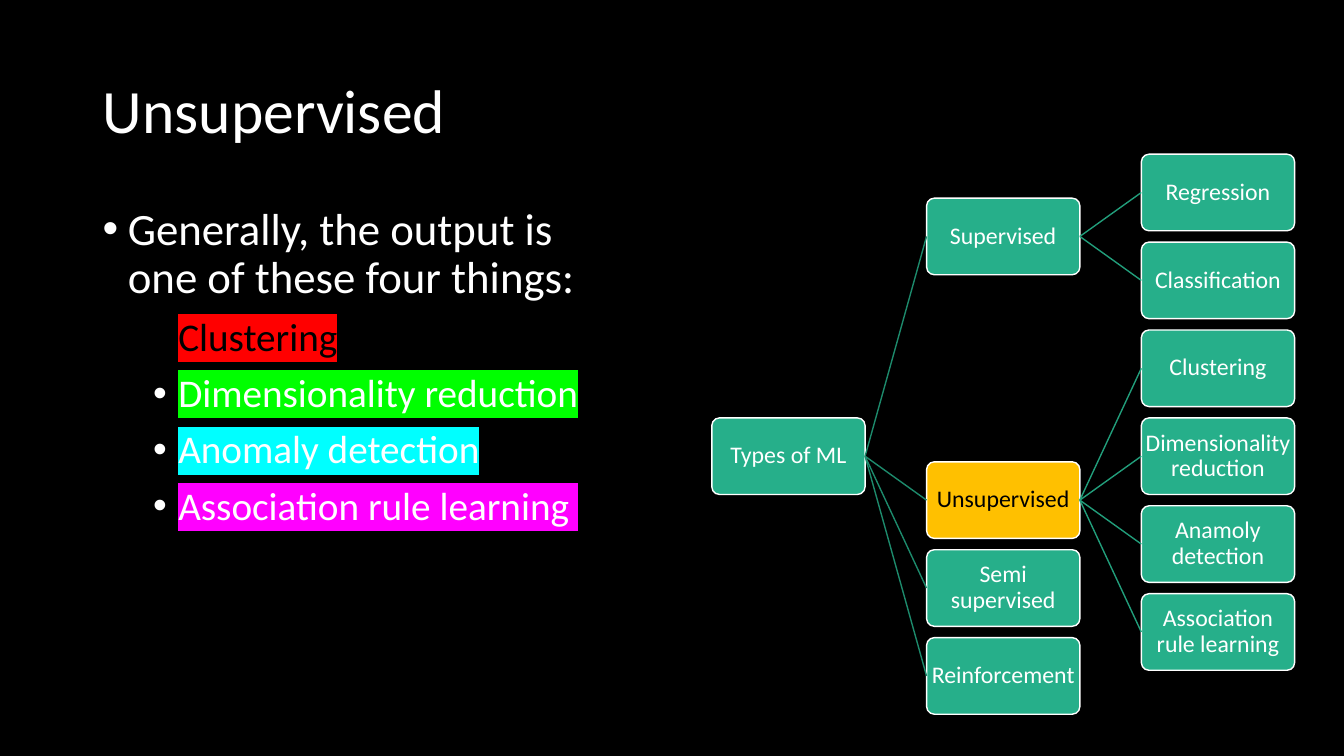
"""Build the slide on unsupervised learning and its place among the types of ML."""
import dataclasses
import typing

import lxml.etree
import pptx
import pptx.dml.color
import pptx.enum.shapes
import pptx.enum.text
import pptx.oxml
import pptx.oxml.ns
import pptx.shapes.autoshape
import pptx.slide
import pptx.text.text
import pptx.util

Inches = pptx.util.Inches
Paragraph = pptx.text.text._Paragraph


@dataclasses.dataclass(frozen=True)
class Theme:
    """Colours, font and type sizes of the slide."""
    font: str = "Calibri"
    dark: str = "000000"
    light: str = "FFFFFF"
    node: str = "26AF8A"
    accent: str = "FFC000"
    branches: tuple[str, ...] = ("1D8A6C", "229E7B")
    title_size: int = 44
    lead_size: int = 32
    item_size: int = 28
    node_size: int = 17
    line_width: int = 1
    line_spacing: float = 0.9


@dataclasses.dataclass(frozen=True)
class Bullet:
    """One bulleted line with its level, colour and highlight."""
    text: str
    level: int = 1
    color: str = "FFFFFF"
    highlight: typing.Optional[str] = None


@dataclasses.dataclass(frozen=True)
class Node:
    """One box of the tree, placed by column and row."""
    label: str
    column: int
    row: float
    parent: typing.Optional[str] = None
    active: bool = False


THEME = Theme()
BULLETS = (
    Bullet("Generally, the output is one of these four things:", level=0),
    Bullet("Clustering", color="000000", highlight="FF0000"),
    Bullet("Dimensionality reduction", highlight="00FF00"),
    Bullet("Anomaly detection", highlight="00FFFF"),
    Bullet("Association rule learning ", highlight="FF00FF"),
)
NODES = (
    Node("Types of ML", 0, 3),
    Node("Supervised", 1, 0.5, "Types of ML"),
    Node("Regression", 2, 0, "Supervised"),
    Node("Classification", 2, 1, "Supervised"),
    Node("Unsupervised", 1, 3.5, "Types of ML", active=True),
    Node("Clustering", 2, 2, "Unsupervised"),
    Node("Dimensionality reduction", 2, 3, "Unsupervised"),
    Node("Anamoly detection", 2, 4, "Unsupervised"),
    Node("Association rule learning", 2, 5, "Unsupervised"),
    Node("Semi supervised", 1, 4.5, "Types of ML"),
    Node("Reinforcement ", 1, 5.5, "Types of ML"),
)
TREE_LEFT, TREE_TOP = 7.06, 1.53
NODE_WIDTH, NODE_HEIGHT = 1.52, 0.76
COLUMN_PITCH, ROW_PITCH = 2.13, 4.36 / 5


def rgb(color: str) -> pptx.dml.color.RGBColor:
    """Turn a hex string into a colour."""
    return pptx.dml.color.RGBColor.from_string(color)


def set_frame(frame: pptx.text.text.TextFrame, side: float, end: float,
              anchor: pptx.enum.text.MSO_ANCHOR) -> None:
    """Set wrapping, insets and vertical anchor of a text frame."""
    frame.word_wrap = True
    frame.auto_size = pptx.enum.text.MSO_AUTO_SIZE.NONE
    frame.margin_left = frame.margin_right = Inches(side)
    frame.margin_top = frame.margin_bottom = Inches(end)
    frame.vertical_anchor = anchor


def add_span(para: Paragraph, text: str, size: int, color: str,
             highlight: typing.Optional[str] = None) -> None:
    """Add one formatted run to a paragraph."""
    para.line_spacing = THEME.line_spacing
    span = para.add_run()
    span.text = text
    span.font.size = pptx.util.Pt(size)
    span.font.color.rgb = rgb(color)
    if highlight:
        mark = lxml.etree.SubElement(span.font._element, pptx.oxml.ns.qn("a:highlight"))
        lxml.etree.SubElement(mark, pptx.oxml.ns.qn("a:srgbClr"), val=highlight)
    span.font.name = THEME.font


def add_title(page: pptx.slide.Slide, text: str) -> None:
    """Place and fill the title placeholder."""
    title = page.shapes.title
    title.left, title.top = Inches(0.92), Inches(0.4)
    title.width, title.height = Inches(11.5), Inches(1.45)
    set_frame(title.text_frame, 0.1, 0.05, pptx.enum.text.MSO_ANCHOR.MIDDLE)
    para = title.text_frame.paragraphs[0]
    para.alignment = pptx.enum.text.PP_ALIGN.LEFT
    add_span(para, text, THEME.title_size, THEME.light)


def set_bullet(para: Paragraph, bullet: Bullet) -> None:
    """Give a paragraph its level, hanging indent and coloured bullet."""
    para.level = bullet.level
    properties = para._p.get_or_add_pPr()
    properties.set("marL", str(Inches(0.25 + 0.5 * bullet.level)))
    properties.set("indent", str(Inches(-0.25)))
    tint = lxml.etree.SubElement(properties, pptx.oxml.ns.qn("a:buClr"))
    lxml.etree.SubElement(tint, pptx.oxml.ns.qn("a:srgbClr"), val=bullet.color)
    lxml.etree.SubElement(properties, pptx.oxml.ns.qn("a:buFont"), typeface="Arial")
    lxml.etree.SubElement(properties, pptx.oxml.ns.qn("a:buChar"), char="•")


def add_bullets(page: pptx.slide.Slide, bullets: typing.Sequence[Bullet]) -> None:
    """Add the bulleted list on the left."""
    box = page.shapes.add_textbox(Inches(0.92), Inches(2), Inches(4.97), Inches(4.76))
    frame = box.text_frame
    set_frame(frame, 0.1, 0.05, pptx.enum.text.MSO_ANCHOR.TOP)
    for index, bullet in enumerate(bullets):
        para = frame.add_paragraph() if index else frame.paragraphs[0]
        set_bullet(para, bullet)
        if index:
            para.space_before = pptx.util.Pt(10)
        size = THEME.item_size if bullet.level else THEME.lead_size
        add_span(para, bullet.text, size, bullet.color, bullet.highlight)


def add_node(page: pptx.slide.Slide, node: Node) -> pptx.shapes.autoshape.Shape:
    """Add one rounded box of the tree."""
    box = page.shapes.add_shape(
        pptx.enum.shapes.MSO_SHAPE.ROUNDED_RECTANGLE,
        Inches(TREE_LEFT + node.column * COLUMN_PITCH),
        Inches(TREE_TOP + node.row * ROW_PITCH),
        Inches(NODE_WIDTH), Inches(NODE_HEIGHT))
    box.adjustments[0] = 0.1
    box.shadow.inherit = False
    box.fill.solid()
    box.fill.fore_color.rgb = rgb(THEME.accent if node.active else THEME.node)
    box.line.color.rgb = rgb(THEME.light)
    box.line.width = pptx.util.Pt(THEME.line_width)
    set_frame(box.text_frame, 0.01, 0.01, pptx.enum.text.MSO_ANCHOR.MIDDLE)
    para = box.text_frame.paragraphs[0]
    para.alignment = pptx.enum.text.PP_ALIGN.CENTER
    add_span(para, node.label, THEME.node_size, THEME.dark if node.active else THEME.light)
    return box


def add_branch(page: pptx.slide.Slide, parent: pptx.shapes.autoshape.Shape,
               child: pptx.shapes.autoshape.Shape, color: str) -> None:
    """Join the right side of a parent to the left side of its child."""
    branch = page.shapes.add_connector(pptx.enum.shapes.MSO_CONNECTOR.STRAIGHT, 0, 0, 0, 0)
    branch.begin_connect(parent, 3)
    branch.end_connect(child, 1)
    branch.line.color.rgb = rgb(color)
    branch.line.width = pptx.util.Pt(THEME.line_width)
    lxml.etree.SubElement(branch._element.spPr, pptx.oxml.ns.qn("a:effectLst"))


def add_tree(page: pptx.slide.Slide, nodes: typing.Sequence[Node]) -> None:
    """Add all boxes of the tree and the branches between them."""
    boxes = {node.label: add_node(page, node) for node in nodes}
    for node in nodes:
        if node.parent:
            color = THEME.branches[node.column - 1]
            add_branch(page, boxes[node.parent], boxes[node.label], color)


def main() -> None:
    """Build and save the deck."""
    deck = pptx.Presentation()
    deck.slide_width, deck.slide_height = Inches(13.33), Inches(7.5)
    page = deck.slides.add_slide(deck.slide_layouts.get_by_name("Title Only"))
    page.background.fill.solid()
    page.background.fill.fore_color.rgb = rgb(THEME.dark)
    add_title(page, "Unsupervised")
    add_bullets(page, BULLETS)
    add_tree(page, NODES)
    deck.save("out.pptx")


if __name__ == "__main__":
    main()
